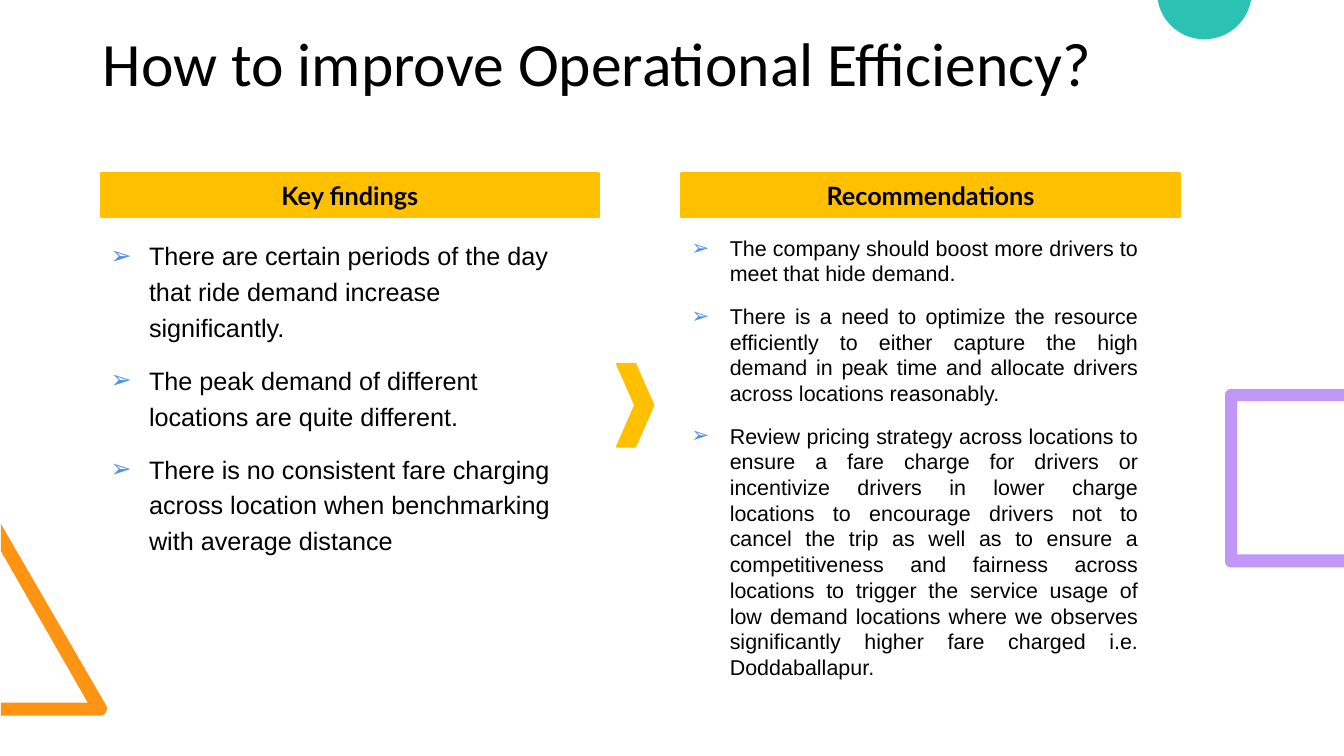
"""Build the slide on improving operational efficiency."""
from dataclasses import dataclass
from math import cos, radians, sin

from lxml.etree import SubElement
from pptx import Presentation
from pptx.dml.color import RGBColor
from pptx.enum.shapes import MSO_SHAPE as Shape
from pptx.enum.text import MSO_ANCHOR as Anchor, MSO_AUTO_SIZE as AutoSize, PP_ALIGN as Align
from pptx.oxml.ns import qn
from pptx.util import Pt

EMU_PER_PX = 9144
TITLE_ONLY = 5


@dataclass(frozen=True)
class Theme:
    ink: str = "000000"
    gold: str = "FFC000"
    bullet: str = "4D90EF"
    orange: str = "FF9413"
    teal: str = "2BC2B4"
    violet: str = "C097F8"
    title_font: str = "Calibri"
    heading_font: str = "Lato"
    body_font: str = "Arial"
    title_size: float = 44
    heading_size: float = 18
    findings_size: float = 18
    advice_size: float = 15.3


def px(length):
    return round(length * EMU_PER_PX)


def arc(x, y, radius, start, end, steps=24):
    angles = [radians(start + (end - start) * i / steps) for i in range(steps + 1)]
    return [(x + radius * cos(a), y + radius * sin(a)) for a in angles]


def write(paragraph, text, *, font, size, color, bold=False, align=Align.LEFT,
          spacing=1.0, before=0, after=0):
    paragraph.alignment = align
    paragraph.line_spacing = spacing
    paragraph.space_before, paragraph.space_after = Pt(before), Pt(after)
    run = paragraph.add_run()
    run.text = text
    run.font.name, run.font.size, run.font.bold = font, Pt(size), bold
    run.font.color.rgb = RGBColor.from_string(color)


class SlideBuilder:
    def __init__(self, slide, theme):
        self.slide, self.theme = slide, theme

    def paint(self, shape, color, line_width=None):
        shape.shadow.inherit = False
        shape.fill.solid()
        shape.fill.fore_color.rgb = RGBColor.from_string(color)
        if line_width:
            shape.line.color.rgb = RGBColor.from_string(color)
            shape.line.width = Pt(line_width)
        else:
            shape.line.fill.background()

    def title(self, text, left, top, width, height):
        heading = self.slide.shapes.title
        heading.left, heading.top = px(left), px(top)
        heading.width, heading.height = px(width), px(height)
        frame = heading.text_frame
        frame.vertical_anchor = Anchor.MIDDLE
        frame.auto_size = AutoSize.NONE
        write(frame.paragraphs[0], text, font=self.theme.title_font,
              size=self.theme.title_size, color=self.theme.ink, spacing=0.9)

    def outline(self, points, color):
        start, *rest = [(px(x), px(y)) for x, y in points]
        builder = self.slide.shapes.build_freeform(*start, scale=1.0)
        builder.add_line_segments(rest, close=True)
        self.paint(builder.convert_to_shape(), color)

    def preset(self, kind, left, top, width, height):
        shape = self.slide.shapes.add_shape(kind, px(left), px(top), px(width), px(height))
        self.paint(shape, self.theme.gold, 1.5)
        return shape

    def header(self, text, left, top, width, height):
        frame = self.preset(Shape.RECTANGLE, left, top, width, height).text_frame
        frame.vertical_anchor = Anchor.MIDDLE
        write(frame.paragraphs[0], text, font=self.theme.heading_font,
              size=self.theme.heading_size, color=self.theme.ink, bold=True, align=Align.CENTER)

    def bullets(self, items, left, top, width, height, **style):
        frame = self.slide.shapes.add_textbox(px(left), px(top), px(width), px(height)).text_frame
        frame.word_wrap = True
        frame.margin_right = px(41)
        for index, item in enumerate(items):
            paragraph = frame.add_paragraph() if index else frame.paragraphs[0]
            write(paragraph, item, font=self.theme.body_font, color=self.theme.ink,
                  before=4, after=8, **style)
            props = paragraph._p.get_or_add_pPr()
            props.set("marL", str(px(38)))
            props.set("indent", str(px(-38)))
            tint = SubElement(props, qn("a:buClr"))
            SubElement(tint, qn("a:srgbClr"), val=self.theme.bullet)
            SubElement(props, qn("a:buFont"), typeface=self.theme.body_font)
            SubElement(props, qn("a:buChar"), char="➢")


FINDINGS = [
    "There are certain periods of the day that ride demand increase significantly.",
    "The peak demand of different locations are quite different.",
    "There is no consistent fare charging across location when benchmarking with average distance",
]
RECOMMENDATIONS = [
    "The company should boost more drivers to meet that hide demand.",
    "There is a need to optimize the resource efficiently to either capture the high demand "
    "in peak time and allocate drivers across locations reasonably.",
    "Review pricing strategy across locations to ensure a fare charge for drivers or incentivize "
    "drivers in lower charge locations to encourage drivers not to cancel the trip as well as to "
    "ensure a competitiveness and fairness across locations to trigger the service usage of low "
    "demand locations where we observes significantly higher fare charged i.e. Doddaballapur.",
]


def main():
    deck = Presentation()
    deck.slide_width, deck.slide_height = px(1333), px(750)
    theme = Theme()
    page = SlideBuilder(deck.slides.add_slide(deck.slide_layouts[TITLE_ONLY]), theme)

    triangle = [(1, 710), (1, 697), (87, 697), (1, 547), (1, 520)]
    page.outline(triangle + arc(99, 703, 7, -30, 90), theme.orange)
    page.outline(arc(1194.5, -8, 47, 10, 170), theme.teal)
    bracket = [(1333, 563), (1333, 550), (1227, 550), (1227, 398), (1333, 398), (1333, 386)]
    corners = arc(1221, 392, 6, 270, 180) + arc(1221, 557, 6, 180, 90)
    page.outline(bracket + corners, theme.violet)

    page.title("How to improve Operational Efficiency?", 92, 33, 1150, 66)
    columns = [
        ("Key findings", FINDINGS, 100,
         dict(size=theme.findings_size, spacing=1.19)),
        ("Recommendations", RECOMMENDATIONS, 676,
         dict(size=theme.advice_size, spacing=1.0, align=Align.JUSTIFY)),
    ]
    for heading, items, left, style in columns:
        page.header(heading, left, 172, 494, 43)
        page.bullets(items, left, 228, 494, 441, **style)
    page.preset(Shape.CHEVRON, 612, 361, 36, 82)

    deck.save("out.pptx")


if __name__ == "__main__":
    main()
